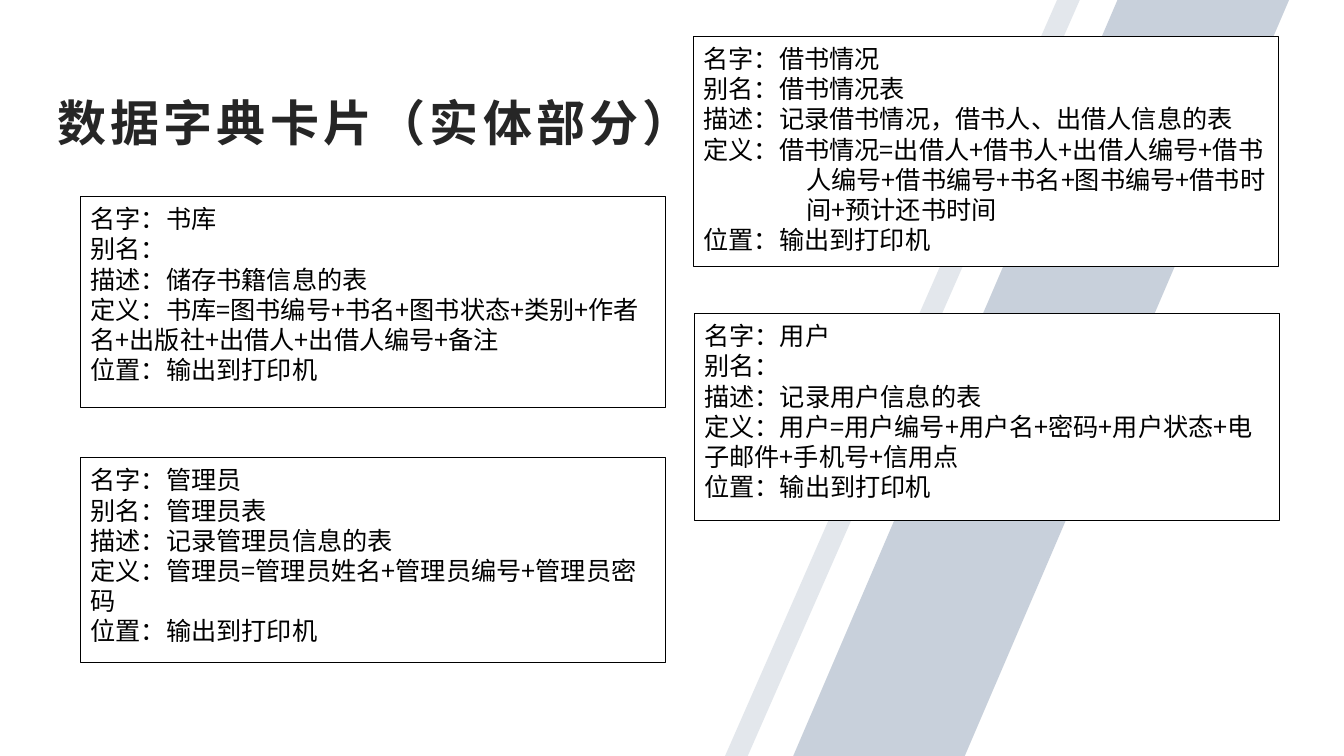
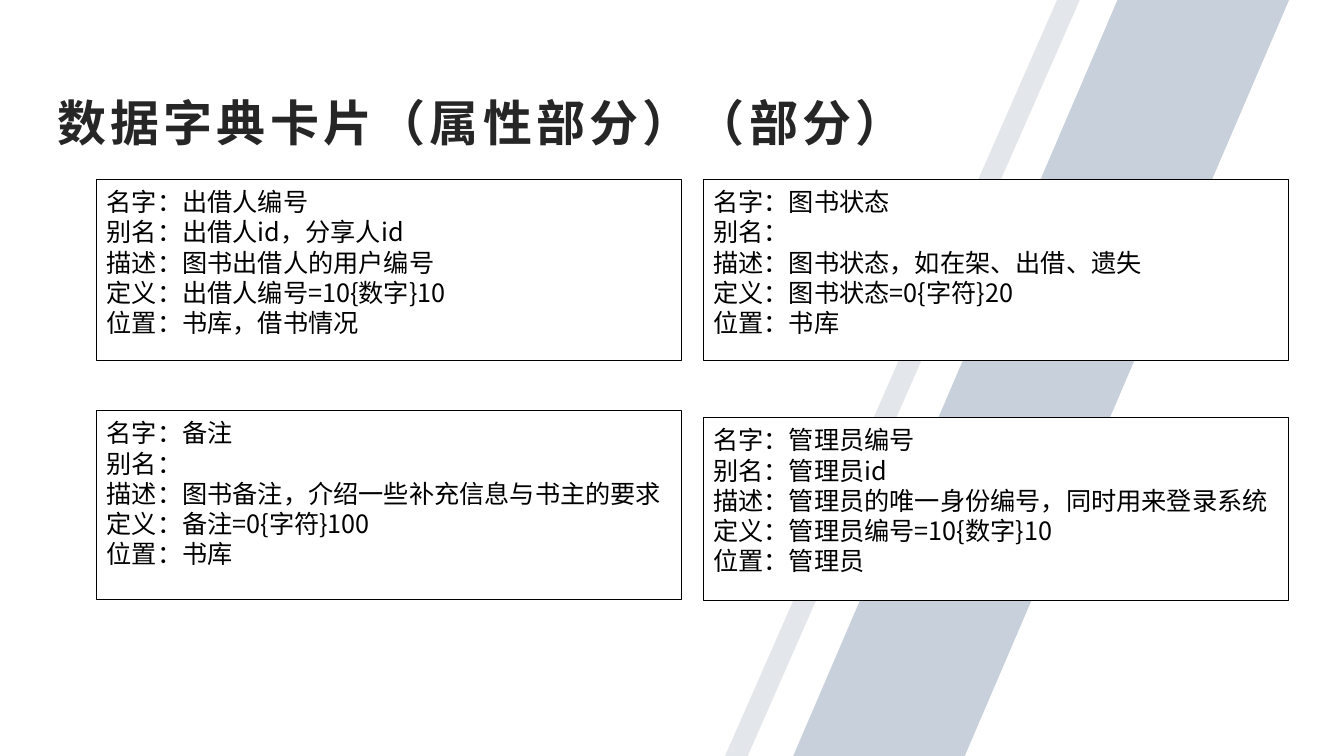
from dataclasses import dataclass

from lxml import etree
from pptx import Presentation
from pptx.dml import color
from pptx.enum import lang, shapes, text
from pptx.oxml import ns
from pptx.util import Pt

CJK_FONT = "Noto Sans CJK SC"
TITLE_FONT = "Arial"
BLACK, WHITE, TITLE_COLOR = "000000", "FFFFFF", "262626"
SLIDE_W, SLIDE_H = 960, 540
CARD_W = 417.6
HANGING = 73.44
LABELS = ("名字", "别名", "描述", "定义", "位置")


@dataclass(frozen=True)
class Band:
    x: float
    w: float
    skew: float
    fill: str
    opacity: int


@dataclass(frozen=True)
class Card:
    x: float
    y: float
    h: float
    values: tuple[str, str, str, str, str]
    hanging: bool = False


@dataclass(frozen=True)
class Page:
    title: str
    cards: tuple[Card, ...]


BANDS = (
    Band(517.9, 253.4, 0.936, "BDC7D3", 42),
    Band(566.6, 354.2, 0.654, "BBC5D2", 80),
)

PRINTER = "输出到打印机"
PAGES = (
    Page("数据字典卡片（实体部分）", (
        Card(495.4, 25.9, 164.2, (
            "借书情况", "借书情况表", "记录借书情况，借书人、出借人信息的表",
            "借书情况=出借人+借书人+出借人编号+借书人编号+借书编号+书名"
            "+图书编号+借书时间+预计还书时间", PRINTER), hanging=True),
        Card(57.6, 140.4, 150.5, (
            "书库", "", "储存书籍信息的表",
            "书库=图书编号+书名+图书状态+类别+作者名+出版社+出借人"
            "+出借人编号+备注", PRINTER)),
        Card(496, 223.9, 147.6, (
            "用户", "", "记录用户信息的表",
            "用户=用户编号+用户名+密码+用户状态+电子邮件+手机号+信用点",
            PRINTER)),
        Card(57.6, 326.9, 146.2, (
            "管理员", "管理员表", "记录管理员信息的表",
            "管理员=管理员姓名+管理员编号+管理员密码", PRINTER)),
    )),
    Page("数据字典卡片（属性部分）（部分）", (
        Card(69.1, 128.2, 129.6, (
            "出借人编号", "出借人id，分享人id", "图书出借人的用户编号",
            "出借人编号=10{数字}10", "书库，借书情况"), hanging=True),
        Card(502.5, 128.2, 129.6, (
            "图书状态", "", "图书状态，如在架、出借、遗失",
            "图书状态=0{字符}20", "书库"), hanging=True),
        Card(69.1, 293.4, 134.6, (
            "备注", "", "图书备注，介绍一些补充信息与书主的要求",
            "备注=0{字符}100", "书库"), hanging=True),
        Card(502.5, 298.4, 130.7, (
            "管理员编号", "管理员id", "管理员的唯一身份编号，同时用来登录系统",
            "管理员编号=10{数字}10", "管理员"), hanging=True),
    )),
)


def rgb(value: str) -> color.RGBColor:
    return color.RGBColor.from_string(value)


def add_run(p, content: str, *, size: float, font: str = CJK_FONT,
            fill: str = BLACK, bold: bool = False, spacing: float = 0) -> None:
    r = p.add_run()
    r.text = content
    f = r.font
    f.size, f.bold, f.name = Pt(size), bold, font
    f.color.rgb = rgb(fill)
    f.language_id = lang.MSO_LANGUAGE_ID.SIMPLIFIED_CHINESE
    props = r._r.get_or_add_rPr()
    if spacing:
        props.set("spc", str(round(spacing * 100)))
    etree.SubElement(props, ns.qn("a:ea")).set("typeface", CJK_FONT)


def add_filled(s, kind, x: float, y: float, w: float, h: float, fill: str):
    sp = s.shapes.add_shape(kind, Pt(x), Pt(y), Pt(w), Pt(h))
    sp.shadow.inherit = False
    sp.fill.solid()
    sp.fill.fore_color.rgb = rgb(fill)
    return sp


def add_band(s, band: Band) -> None:
    sp = add_filled(s, shapes.MSO_SHAPE.PARALLELOGRAM,
                    band.x, 0, band.w, SLIDE_H, band.fill)
    sp.adjustments[0] = band.skew
    sp.line.fill.background()
    srgb = sp._element.spPr.find(".//" + ns.qn("a:srgbClr"))
    etree.SubElement(srgb, ns.qn("a:alpha")).set("val", str(band.opacity * 1000))


def add_title(s, title: str) -> None:
    sp = s.shapes.add_textbox(Pt(33.8), Pt(57.6), Pt(788.4), Pt(58.3))
    tf = sp.text_frame
    tf.word_wrap = True
    tf.vertical_anchor = text.MSO_ANCHOR.MIDDLE
    add_run(tf.paragraphs[0], title, size=35, font=TITLE_FONT,
            fill=TITLE_COLOR, bold=True, spacing=3)


def add_card(s, card: Card) -> None:
    sp = add_filled(s, shapes.MSO_SHAPE.RECTANGLE,
                    card.x, card.y, CARD_W, card.h, WHITE)
    sp.line.color.rgb = rgb(BLACK)
    sp.line.width = Pt(0.5)
    tf = sp.text_frame
    tf.word_wrap = True
    tf.vertical_anchor = text.MSO_ANCHOR.TOP
    tf.margin_top = Pt(5)
    for i, (label, value) in enumerate(zip(LABELS, card.values)):
        p = tf.add_paragraph() if i else tf.paragraphs[0]
        p.alignment = text.PP_ALIGN.LEFT
        p.line_spacing = Pt(21.6)
        if card.hanging and label == "定义":
            props = p._p.get_or_add_pPr()
            props.set("marL", str(Pt(HANGING)))
            props.set("indent", str(-Pt(HANGING)))
        add_run(p, f"{label}：{value}", size=18)


def main() -> None:
    prs = Presentation()
    prs.slide_width, prs.slide_height = Pt(SLIDE_W), Pt(SLIDE_H)
    for page in PAGES:
        s = prs.slides.add_slide(prs.slide_layouts[6])
        for band in BANDS:
            add_band(s, band)
        add_title(s, page.title)
        for card in page.cards:
            add_card(s, card)
    prs.save("out.pptx")


if __name__ == "__main__":
    main()
